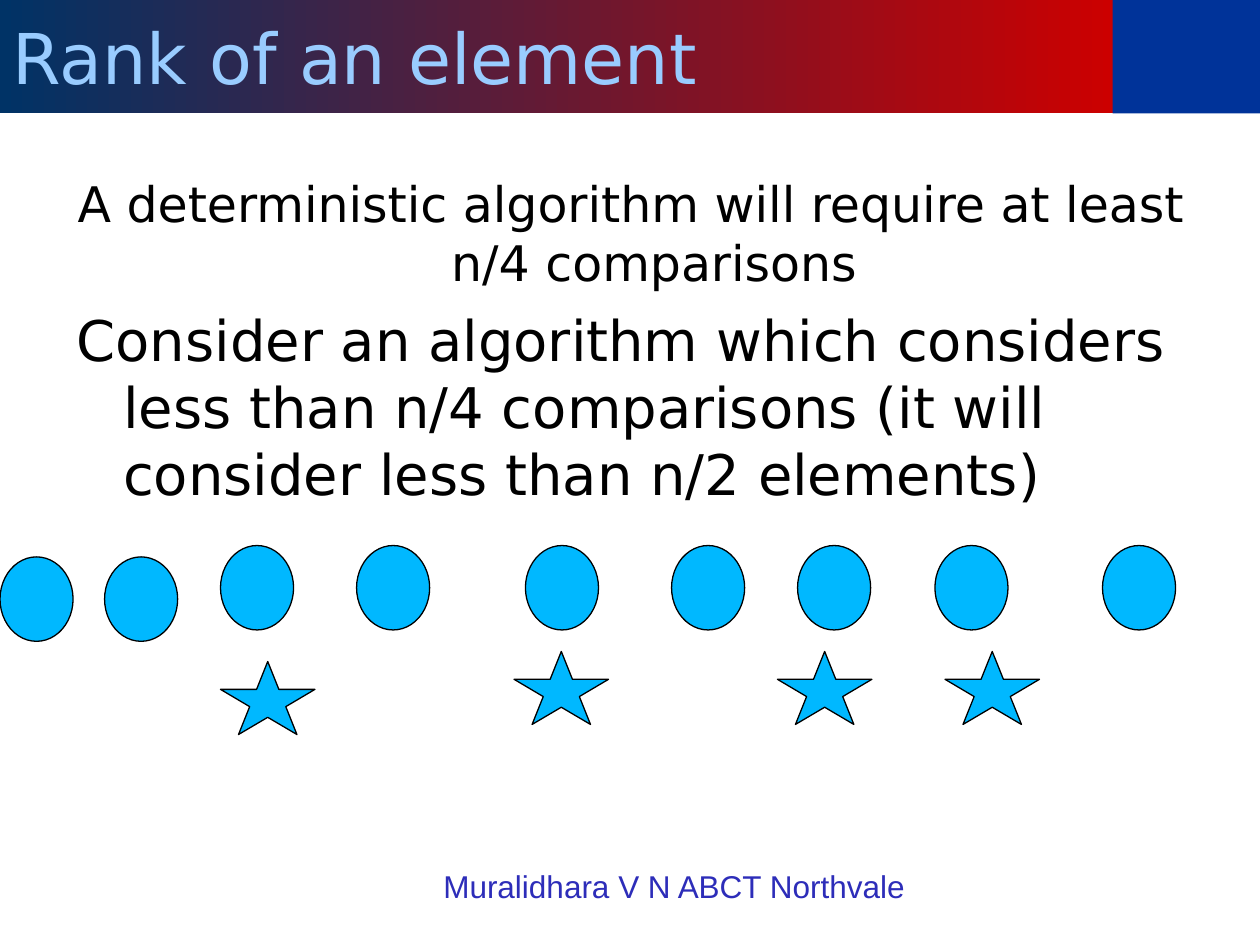
from typing import NamedTuple

from pptx import Presentation, util as u
from pptx.dml.color import RGBColor
from pptx.enum import shapes, text

WHITE = RGBColor(0xFF, 0xFF, 0xFF)
BLACK = RGBColor(0, 0, 0)
NAVY = RGBColor(0x00, 0x33, 0x66)
RED = RGBColor(0xCC, 0x00, 0x00)
BLUE = RGBColor(0x00, 0x33, 0x99)
PALE_BLUE = RGBColor(0x99, 0xCC, 0xFF)
CYAN = RGBColor(0x00, 0xB8, 0xFF)
INDIGO = RGBColor(0x2D, 0x2D, 0xB9)
SHAPE = shapes.MSO_SHAPE
ALIGN = text.PP_ALIGN


class Mark(NamedTuple):
    kind: int
    left: float
    top: float
    width: float
    height: float


def circle(left: float, top: float = 4.33) -> Mark:
    return Mark(SHAPE.OVAL, left, top, 0.58, 0.67)


def star(left: float, top: float = 5.17) -> Mark:
    return Mark(SHAPE.STAR_5_POINT, left, top, 0.75, 0.58)


MARKS = [
    circle(0, 4.42), circle(0.83, 4.42),
    *map(circle, (1.75, 2.83, 4.17, 5.33, 6.33, 7.42, 8.75)),
    star(1.75, 5.25), *map(star, (4.08, 6.17, 7.5)),
]


def write(p, words: str, *, size: float, color: RGBColor, font="DejaVu Sans",
          align=ALIGN.LEFT, before=0.0, hanging=False) -> None:
    p.alignment = align
    p.space_before = u.Pt(before)
    if hanging:
        pPr = p._p.get_or_add_pPr()
        pPr.set("marL", str(u.Inches(0.38)))
        pPr.set("indent", str(u.Inches(-0.37)))
    r = p.add_run()
    r.text = words
    r.font.size = u.Pt(size)
    r.font.name = font
    r.font.color.rgb = color


def add_text_box(s, left: float, top: float, width: float, height: float):
    tf = s.shapes.add_textbox(*map(u.Inches, (left, top, width, height))).text_frame
    tf.word_wrap = True
    return tf


def add_mark(s, mark: Mark, fill: RGBColor, outlined=True) -> None:
    sp = s.shapes.add_shape(mark.kind, *map(u.Inches, mark[1:]))
    sp.shadow.inherit = False
    sp.fill.solid()
    sp.fill.fore_color.rgb = fill
    if outlined:
        sp.line.color.rgb = BLACK
        sp.line.width = u.Pt(0.75)
    else:
        sp.line.fill.background()


prs = Presentation()
prs.slide_width, prs.slide_height = u.Inches(10), u.Inches(7.5)
s = prs.slides.add_slide(prs.slide_layouts[5])
s.background.fill.solid()
s.background.fill.fore_color.rgb = WHITE

# Title band with its end block
add_mark(s, Mark(SHAPE.RECTANGLE, 8.83, 0, 1.17, 0.9), BLUE, outlined=False)
title = s.shapes.title
title.left, title.top, title.width, title.height = map(u.Inches, (0, 0, 8.84, 0.9))
title.fill.gradient()
title.fill.gradient_angle = 180
for stop, color, position in zip(title.fill.gradient_stops, (RED, NAVY), (0, 1)):
    stop.color.rgb = color
    stop.position = position
tf = title.text_frame
tf.auto_size = text.MSO_AUTO_SIZE.NONE
tf.vertical_anchor = text.MSO_ANCHOR.MIDDLE
write(tf.paragraphs[0], "Rank of an element", size=40, color=PALE_BLUE)

# Body
tf = add_text_box(s, 0.5, 1.33, 9, 5.37)
write(tf.paragraphs[0],
      "A deterministic algorithm will require at least n/4 comparisons",
      size=28, color=BLACK, align=ALIGN.CENTER, before=8, hanging=True)
write(tf.add_paragraph(),
      "Consider an algorithm which considers less than n/4 comparisons "
      "(it will consider less than n/2 elements)",
      size=32, color=BLACK, before=8, hanging=True)

# Footer
tf = add_text_box(s, 3.42, 6.83, 4.58, 0.52)
write(tf.paragraphs[0], "Muralidhara V N ABCT Northvale",
      size=18, color=INDIGO, font="Arial")

# Elements and the ones picked for comparison
for mark in MARKS:
    add_mark(s, mark, CYAN)

prs.save("out.pptx")
